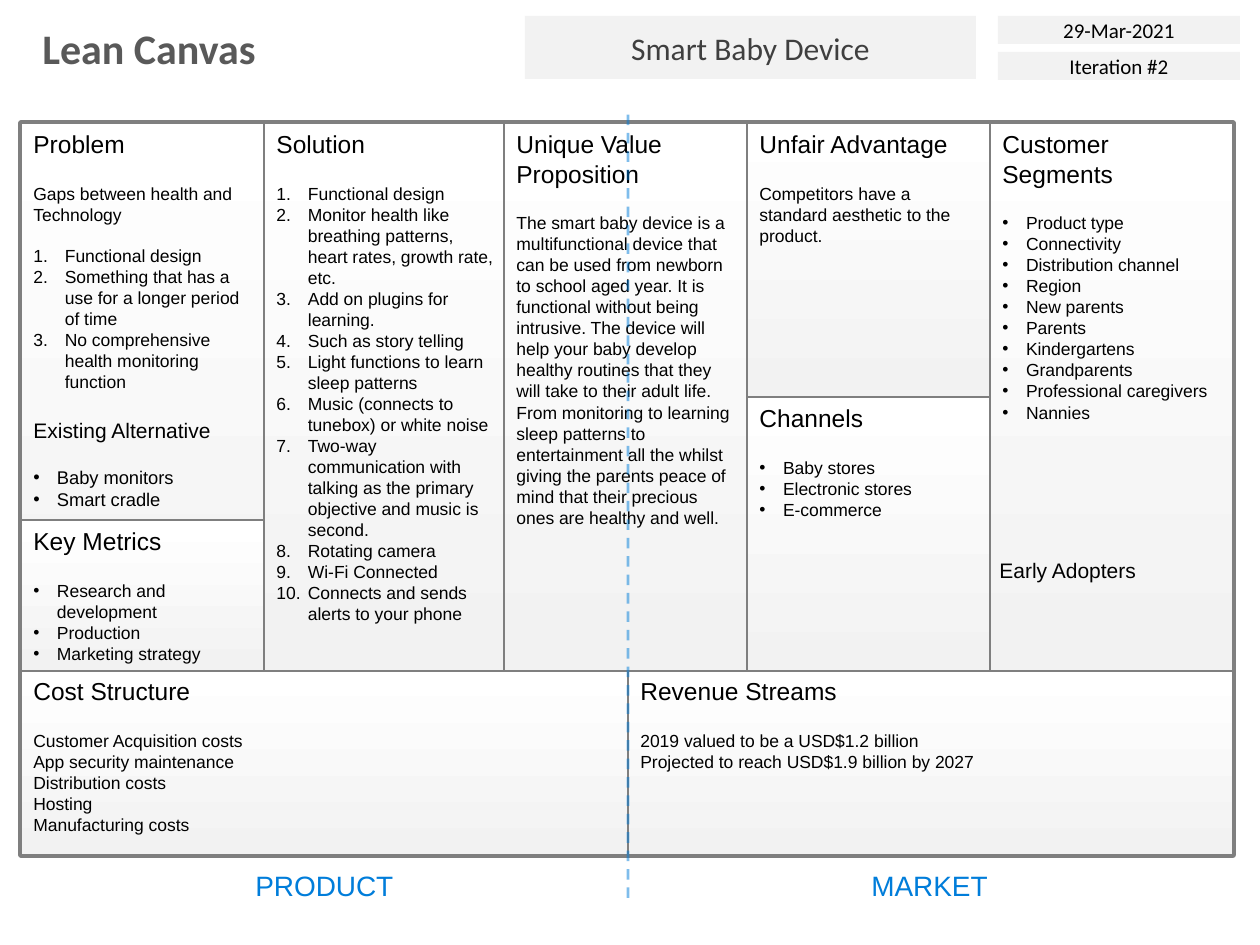
from lxml import etree
from pptx import Presentation, util as u
from pptx.dml.color import RGBColor
from pptx.enum import dml, shapes, text
from pptx.oxml.ns import qn

SCALE = 7257.14
GREY, PALE, BLUE, BLACK = "7F7F7F", "F2F2F2", "007DDA", "000000"
X = [21, 264, 504, 747, 990]
TOP, MIDDLE, BOTTOM, END = 123, 628, 670, 855
WIDTH, HEIGHT = 243, BOTTOM - TOP + 1
HALF = HEIGHT // 2
PLAIN, NUMBER, BULLET = "plain", "number", "bullet"
INDENTS = {NUMBER: 31.5, BULLET: 23.6}

PANELS = [
    ("Cost Structure", (X[0], BOTTOM, MIDDLE - X[0], END - BOTTOM), [
        (PLAIN, ["Customer Acquisition costs", "App security maintenance",
                 "Distribution costs", "Hosting", "Manufacturing costs"])]),
    ("Revenue Streams", (MIDDLE, BOTTOM, X[4] + WIDTH - MIDDLE, END - BOTTOM), [
        (PLAIN, ["2019 valued to be a USD$1.2 billion",
                 "Projected to reach USD$1.9 billion by 2027"])]),
    ("Problem", (X[0], TOP, WIDTH, HEIGHT), [
        (PLAIN, ["Gaps between health and Technology"]),
        (NUMBER, ["Functional design",
                  "Something that has a use for a longer period of time",
                  "No comprehensive health monitoring function"])]),
    ("Solution", (X[1], TOP, WIDTH, HEIGHT), [
        (NUMBER, ["Functional design",
                  "Monitor health like breathing patterns, heart rates, growth rate, etc.",
                  "Add on plugins for learning.", "Such as story telling",
                  "Light functions to learn sleep patterns",
                  "Music (connects to tunebox) or white noise",
                  "Two-way communication with talking as the primary objective "
                  "and music is second.",
                  "Rotating camera", "Wi-Fi Connected",
                  "Connects and sends alerts to your phone"])]),
    ("Key Metrics", (X[0], 520, WIDTH, 151), [
        (BULLET, ["Research and development", "Production", "Marketing strategy"])]),
    ("Unique Value Proposition", (X[2], TOP, WIDTH, HEIGHT), [
        (PLAIN, ["The smart baby device is a multifunctional device that can be used from "
                 "newborn to school aged year. It is functional without being intrusive. "
                 "The device will help your baby develop healthy routines that they will "
                 "take to their adult life. From monitoring to learning sleep patterns to "
                 "entertainment all the whilst giving the parents peace of mind that their "
                 "precious ones are healthy and well."])]),
    ("Unfair Advantage", (X[3], TOP, WIDTH, HALF), [
        (PLAIN, ["Competitors have a standard aesthetic to the product."])]),
    ("Channels", (X[3], TOP + HALF, WIDTH, HALF), [
        (BULLET, ["Baby stores", "Electronic stores", "E-commerce"])]),
    ("Customer Segments", (X[4], TOP, WIDTH, HEIGHT), [
        (BULLET, ["Product type", "Connectivity", "Distribution channel", "Region",
                  "New\u00a0parents", "Parents", "Kindergartens", "Grandparents",
                  "Professional\u00a0caregivers", "Nannies"])]),
]
SUBPANELS = [
    ("Existing Alternative", (X[0], 411, WIDTH, 108),
     [(BULLET, ["Baby monitors", "Smart cradle"])]),
    ("Early Adopters", (987, 551, WIDTH, 121), []),
]
HEADER_BOXES = [
    ("Smart Baby Device", (525, 16, 451, 63), 18, "3F3F3F"),
    ("29-Mar-2021", (998, 16, 242, 28), 12, BLACK),
    ("Iteration #2", (998, 52, 242, 28), 12, BLACK),
]
SIDES = [("PRODUCT", (242, 862, 165, 46)), ("MARKET", (858, 862, 143, 46))]


def px(value):
    return u.Emu(round(value * SCALE))


def rgb(value):
    return RGBColor.from_string(value)


def add_run(paragraph, words, size, color=BLACK, font="Arial", bold=False):
    run = paragraph.add_run()
    run.text = words
    run.font.size, run.font.name, run.font.bold = u.Pt(size), font, bold
    run.font.color.rgb = rgb(color)


def add_label(words, box, size, color, font, bold=False, align=text.PP_ALIGN.CENTER):
    label = slide.shapes.add_textbox(*map(px, box))
    label.text_frame.word_wrap = False
    paragraph = label.text_frame.paragraphs[0]
    paragraph.alignment = align
    add_run(paragraph, words, size, color, font, bold)


def add_box(box, kind=shapes.MSO_SHAPE.ROUNDED_RECTANGLE, line=0):
    shape = slide.shapes.add_shape(kind, *map(px, box))
    shape.shadow.inherit = False
    if kind == shapes.MSO_SHAPE.ROUNDED_RECTANGLE:
        shape.adjustments[0] = 0
    shape.fill.background()
    if line:
        shape.line.color.rgb = rgb(GREY)
        shape.line.width = u.Pt(line)
    else:
        shape.line.fill.background()
    return shape


def set_bullet(paragraph, style):
    properties = paragraph._p.get_or_add_pPr()
    indent = px(INDENTS[style])
    properties.set("marL", str(indent))
    properties.set("indent", str(-indent))
    etree.SubElement(properties, qn("a:buFont")).set("typeface", "Arial")
    if style == NUMBER:
        etree.SubElement(properties, qn("a:buAutoNum")).set("type", "arabicPeriod")
    else:
        etree.SubElement(properties, qn("a:buChar")).set("char", "•")


def add_panel(title, box, groups, title_size=14, size=10, framed=True):
    shape = add_box(box, line=1.5 if framed else 0)
    if framed:
        shape.fill.gradient()
        shape.fill.gradient_angle = 90
        for stop, color in zip(shape.fill.gradient_stops, (PALE, "FFFFFF")):
            stop.color.rgb = rgb(color)
    frame = shape.text_frame
    frame.word_wrap = True
    frame.vertical_anchor = text.MSO_ANCHOR.TOP
    paragraph = frame.paragraphs[0]
    paragraph.alignment = text.PP_ALIGN.LEFT
    add_run(paragraph, title, title_size)
    gap = 13.8
    for style, items in groups:
        paragraph.space_after = u.Pt(gap)
        gap = 11.5
        for item in items:
            paragraph = frame.add_paragraph()
            paragraph.alignment = text.PP_ALIGN.LEFT
            if style != PLAIN:
                set_bullet(paragraph, style)
            add_run(paragraph, item, size)


presentation = Presentation()
presentation.slide_width, presentation.slide_height = px(1260), px(945)
slide = presentation.slides.add_slide(presentation.slide_layouts[6])

add_label("Lean Canvas", (30, 16, 242, 63), 24, "595959", "Calibri", True, text.PP_ALIGN.LEFT)
add_box((X[0], TOP, X[4] + WIDTH - X[0], END - TOP), line=3)
for words, box, size, color in HEADER_BOXES:
    shape = add_box(box, shapes.MSO_SHAPE.RECTANGLE)
    shape.fill.solid()
    shape.fill.fore_color.rgb = rgb(PALE)
    shape.text_frame.word_wrap = True
    shape.text_frame.vertical_anchor = text.MSO_ANCHOR.MIDDLE
    paragraph = shape.text_frame.paragraphs[0]
    paragraph.alignment = text.PP_ALIGN.CENTER
    add_run(paragraph, words, size, color, "Calibri")
for panel in PANELS:
    add_panel(*panel)
for words, box in SIDES:
    add_label(words, box, 16, BLUE, "Arial")

divider = slide.shapes.add_connector(
    shapes.MSO_CONNECTOR.STRAIGHT, px(MIDDLE), px(898), px(MIDDLE), px(108))
divider.line.color.rgb = rgb(BLUE)
divider.line.width = u.Pt(1.5)
divider.line.dash_style = dml.MSO_LINE.DASH
color_element = next(divider._element.spPr.iter(qn("a:srgbClr")))
etree.SubElement(color_element, qn("a:alpha")).set("val", "50000")
etree.SubElement(divider._element.spPr, qn("a:effectLst"))

for panel in SUBPANELS:
    add_panel(*panel, title_size=12, size=10.5, framed=False)

presentation.save("out.pptx")
